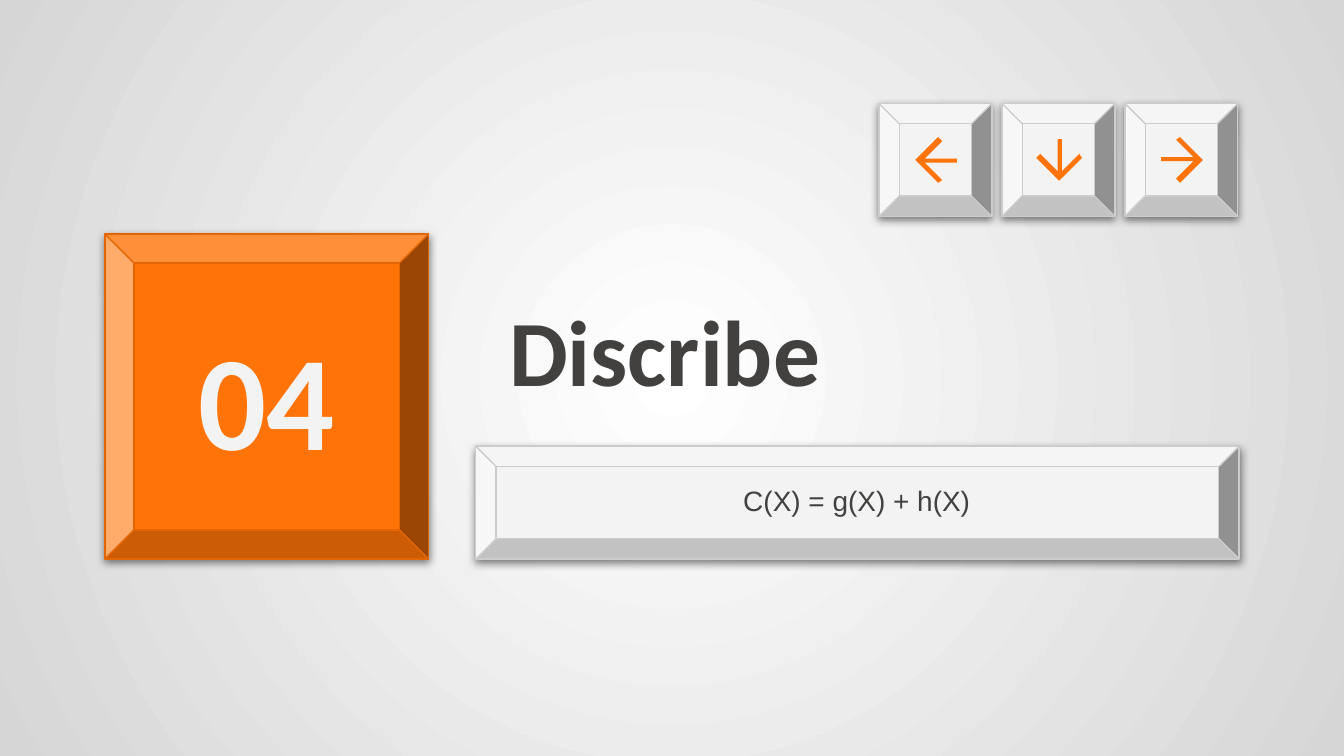
"""Build a section slide with bevelled keys, a number and a formula."""
from lxml import etree
from pptx import Presentation
from pptx import util as u
from pptx.dml.color import RGBColor
from pptx.enum import shapes, text
from pptx.oxml import parse_xml
from pptx.oxml.ns import nsdecls, qn

ORANGE = RGBColor(0xFF, 0x73, 0x07)
ORANGE_EDGE = RGBColor(0xE4, 0x65, 0x03)
LIGHT = RGBColor(0xF3, 0xF3, 0xF3)
LIGHT_EDGE = RGBColor(0xCC, 0xCC, 0xCC)
DARK = RGBColor(0x42, 0x41, 0x3F)
WHITE = RGBColor(0xFF, 0xFF, 0xFF)
GREY = RGBColor(0xD6, 0xD6, 0xD6)
BLACK = RGBColor(0, 0, 0)

KEY_SIZE, KEY_TOP, FIRST_KEY, LAST_KEY = 0.84, 0.77, 6.54, 8.37
KEY_BEVEL = 0.18
ARROW_ROTATIONS = (180, 90, 0)
ARROW_HUNDREDTHS = [(14, 0), (11, 2), (24, 15), (0, 15), (0, 18),
                    (24, 18), (11, 31), (14, 34), (31, 17)]


def paint_background(slide):
    background = parse_xml(
        f'<p:bg {nsdecls("p", "a")}><p:bgPr><a:gradFill rotWithShape="1"><a:gsLst>'
        f'<a:gs pos="0"><a:srgbClr val="{WHITE}"/></a:gs>'
        f'<a:gs pos="100000"><a:srgbClr val="{GREY}"/></a:gs></a:gsLst>'
        '<a:path path="circle"><a:fillToRect l="50000" t="50000" r="50000" b="50000"/></a:path>'
        '</a:gradFill><a:effectLst/></p:bgPr></p:bg>')
    slide.element.cSld.insert(0, background)


def add_shadow(shape):
    shape.shadow.inherit = False
    effects = shape.element.spPr.find(qn("a:effectLst"))
    shadow = etree.SubElement(effects, qn("a:outerShdw"), blurRad=str(u.Pt(4.5)),
                              dist=str(u.Pt(1.5)), dir="5400000",
                              algn="bl", rotWithShape="0")
    color = etree.SubElement(shadow, qn("a:srgbClr"), val=str(BLACK))
    etree.SubElement(color, qn("a:alpha"), val="50000")


def add_key(slide, left, top, width, height, bevel=KEY_BEVEL, fill=LIGHT, edge=LIGHT_EDGE):
    key = slide.shapes.add_shape(shapes.MSO_SHAPE.BEVEL, u.Inches(left), u.Inches(top),
                                 u.Inches(width), u.Inches(height))
    key.adjustments[0] = bevel
    key.fill.solid()
    key.fill.fore_color.rgb = fill
    key.line.color.rgb = edge
    key.line.width = u.Pt(0.75)
    add_shadow(key)


def add_arrow(slide, left, top, rotation):
    builder = slide.shapes.build_freeform(*ARROW_HUNDREDTHS[0], scale=u.Inches(0.01))
    builder.add_line_segments(ARROW_HUNDREDTHS[1:], close=True)
    arrow = builder.convert_to_shape(u.Inches(left), u.Inches(top))
    arrow.rotation = rotation
    arrow.fill.solid()
    arrow.fill.fore_color.rgb = ORANGE
    arrow.line.fill.background()
    arrow.shadow.inherit = False


def add_label(slide, left, top, width, height, wording, size, color,
              font="Calibri", bold=True, align=text.PP_ALIGN.CENTER):
    frame = slide.shapes.add_textbox(u.Inches(left), u.Inches(top),
                                     u.Inches(width), u.Inches(height)).text_frame
    frame.word_wrap = True
    frame.vertical_anchor = text.MSO_ANCHOR.MIDDLE
    frame.margin_left = frame.margin_right = u.Inches(0.1)
    frame.margin_top = frame.margin_bottom = u.Inches(0.1)
    paragraph = frame.paragraphs[0]
    paragraph.alignment = align
    run = paragraph.add_run()
    run.text = wording
    run.font.name = font
    run.font.size = u.Pt(size)
    run.font.bold = bold
    run.font.color.rgb = color


def add_arrow_keys(slide):
    pitch = (LAST_KEY - FIRST_KEY) / (len(ARROW_ROTATIONS) - 1)
    for index, rotation in reversed(list(enumerate(ARROW_ROTATIONS))):
        left = FIRST_KEY + index * pitch
        add_key(slide, left, KEY_TOP, KEY_SIZE, KEY_SIZE)
        add_arrow(slide, left + 0.27, KEY_TOP + 0.25, rotation)


def main():
    deck = Presentation()
    deck.slide_width = u.Inches(10)
    deck.slide_height = deck.slide_width * 9 // 16
    slide = deck.slides.add_slide(deck.slide_layouts[6])
    paint_background(slide)
    add_key(slide, 3.54, 3.32, 5.68, KEY_SIZE)
    add_key(slide, 0.78, 1.74, 2.41, 2.42, 0.09, ORANGE, ORANGE_EDGE)
    add_label(slide, 3.69, 1.75, 5.37, 1.69, "Discribe", 50, DARK,
              align=text.PP_ALIGN.LEFT)
    add_label(slide, 3.95, 3.48, 4.85, 0.48, "C(X) = g(X) + h(X)", 15, DARK,
              font="Arial", bold=False)
    add_label(slide, 0.99, 2.3, 1.98, 1.3, "04", 72, LIGHT)
    add_arrow_keys(slide)
    deck.save("out.pptx")


if __name__ == "__main__":
    main()
